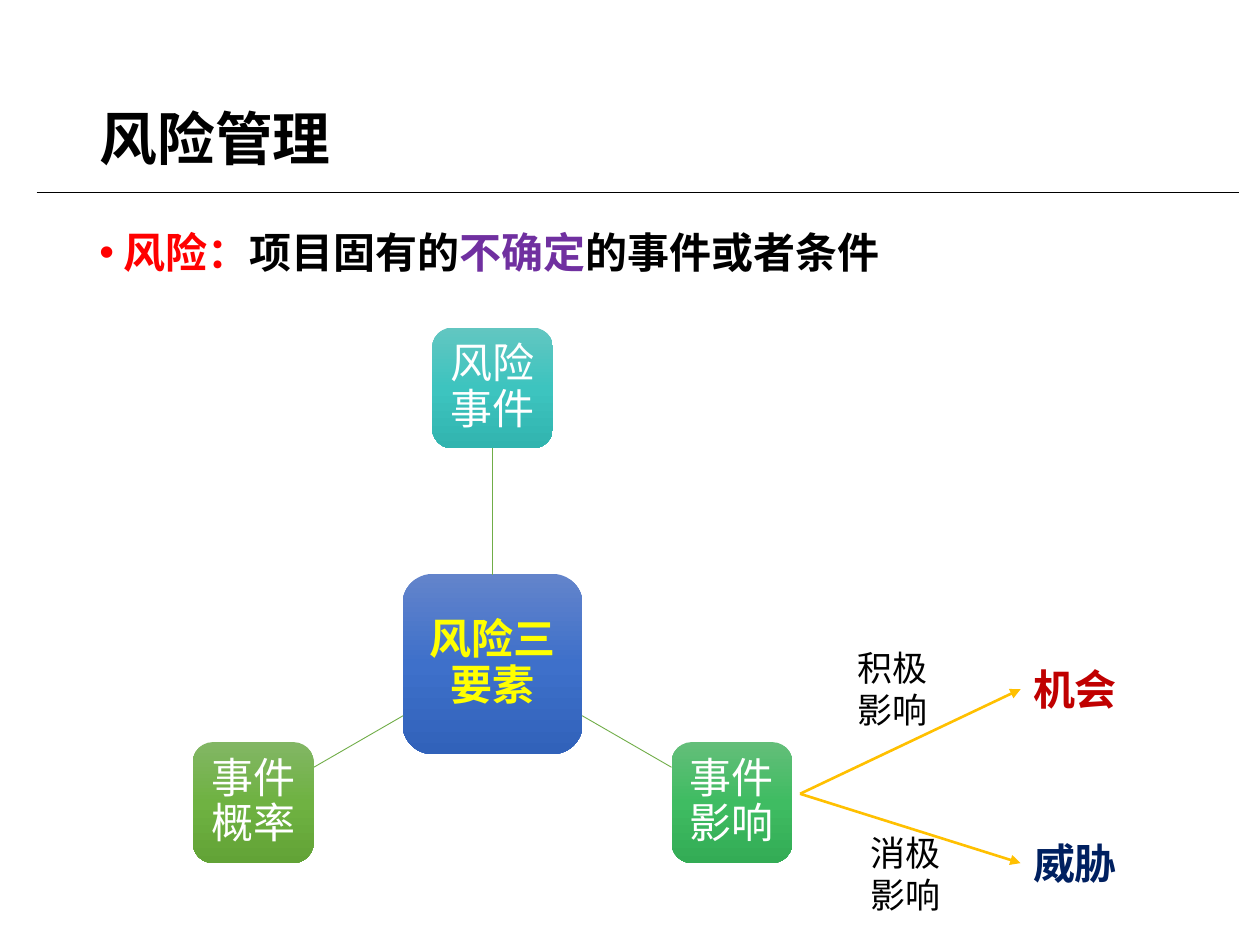
from copy import deepcopy

from lxml import etree
from pptx import Presentation
from pptx.dml.color import RGBColor
from pptx.enum.shapes import MSO_CONNECTOR, MSO_SHAPE
from pptx.enum.text import MSO_ANCHOR, PP_ALIGN
from pptx.oxml.ns import qn
from pptx.util import Inches, Pt

STRAIGHT = MSO_CONNECTOR.STRAIGHT
ROUND = MSO_SHAPE.ROUNDED_RECTANGLE
MIDDLE = MSO_ANCHOR.MIDDLE
CENTER = PP_ALIGN.CENTER
LEFT = PP_ALIGN.LEFT

BLACK, WHITE, YELLOW = "000000", "FFFFFF", "FFFF00"
GREEN, GOLD = "70AD47", "FFC000"


def color(code):
    return RGBColor.from_string(code)


def style(font, size, code, bold=False, name="Calibri"):
    font.name = name
    font.size = Pt(size)
    font.bold = bold
    font.color.rgb = color(code)


def add_title(slide, text):
    title = slide.shapes.title
    title.left, title.top = Inches(0.69), Inches(0.4)
    title.width, title.height = Inches(8.62), Inches(1.45)
    frame = title.text_frame
    frame.vertical_anchor = MIDDLE
    frame.text = text
    para = frame.paragraphs[0]
    para.alignment = LEFT
    para.line_spacing = 0.9
    style(para.font, 33, BLACK, True)


def add_bullet(slide, parts):
    """Add one bulleted line made of (text, colour) parts."""
    box = slide.shapes.add_textbox(
        Inches(0.69), Inches(1.79), Inches(7.02), Inches(4.76))
    box.text_frame.word_wrap = True
    para = box.text_frame.paragraphs[0]
    para.line_spacing = 0.9
    props = para._p.get_or_add_pPr()
    props.set("marL", str(Inches(0.19)))
    props.set("indent", str(-Inches(0.19)))
    etree.SubElement(props, qn("a:buFont")).set("typeface", "Arial")
    etree.SubElement(props, qn("a:buChar")).set("char", "•")
    for text, code in parts:
        run = para.add_run()
        run.text = text
        style(run.font, 24, code, True, "Arial")


def add_line(slide, start, end, code, width, arrow=False):
    points = [Inches(v) for v in (*start, *end)]
    line = slide.shapes.add_connector(STRAIGHT, *points)
    line.line.color.rgb = color(code)
    line.line.width = Pt(width)
    if arrow:
        tail = etree.SubElement(line.line._get_or_add_ln(), qn("a:tailEnd"))
        tail.set("type", "triangle")
    etree.SubElement(line._element.spPr, qn("a:effectLst"))


def shade(fill, codes):
    """Fill from top to bottom through three evenly spaced colours."""
    fill.gradient()
    fill.gradient_angle = 270
    last = fill.gradient_stops[1]._gs
    last.addprevious(deepcopy(last))
    for i, (stop, code) in enumerate(zip(fill.gradient_stops, codes)):
        stop.position = i / 2
        stop.color.rgb = color(code)


def add_node(slide, text, mid, size, codes, ink=WHITE, bold=False):
    """Add a rounded square centred on mid."""
    left, top = (Inches(v - size / 2) for v in mid)
    node = slide.shapes.add_shape(ROUND, left, top, Inches(size), Inches(size))
    node.shadow.inherit = False
    node.line.fill.background()
    shade(node.fill, codes)
    frame = node.text_frame
    frame.word_wrap = True
    frame.vertical_anchor = MIDDLE
    frame.margin_left = frame.margin_right = Inches(0.07)
    frame.margin_top = frame.margin_bottom = Inches(0.07)
    frame.text = text
    para = frame.paragraphs[0]
    para.alignment = CENTER
    para.line_spacing = 0.9
    style(para.font, 24, ink, bold)


def add_label(slide, text, spot, size, code=BLACK, bold=False, wrap=True):
    box = slide.shapes.add_textbox(*[Inches(v) for v in spot])
    frame = box.text_frame
    frame.word_wrap = wrap
    frame.text = text
    style(frame.paragraphs[0].font, size, code, bold)


def main():
    deck = Presentation()
    deck.slide_width, deck.slide_height = Inches(10), Inches(7.5)
    slide = deck.slides.add_slide(deck.slide_layouts[5])

    add_line(slide, (0.29, 1.53), (9.83, 1.53), BLACK, 0.5)
    add_title(slide, "风险管理")
    add_bullet(slide, [("风险：", "FF0000"), ("项目固有的", BLACK),
                       ("不确定", "7030A0"), ("的事件或者条件", BLACK)])

    hub = (3.91, 5.27)
    add_node(slide, "风险三要素", hub, 1.43,
             ("6384CB", "3E70CA", "3162BA"), YELLOW, True)
    # text, offset from the hub, spoke start and end offsets, shades
    nodes = [
        ("风险事件", (0, -2.19), (0, -0.71), (0, -1.72),
         ("62C6C1", "3DC4BF", "31B4AF")),
        ("事件影响", (1.9, 1.1), (0.71, 0.41), (1.42, 0.82),
         ("63BE79", "3FBC62", "33AC55")),
        ("事件概率", (-1.9, 1.1), (-0.71, 0.41), (-1.42, 0.82),
         ("82B664", "6FB242", "62A336")),
    ]
    for text, *shifts, codes in nodes:
        mid, start, end = [(hub[0] + x, hub[1] + y) for x, y in shifts]
        add_line(slide, start, end, GREEN, 0.5)
        add_node(slide, text, mid, 0.96, codes)

    # result, its top and colour, arrow end, effect and its corner
    results = [
        ("机会", 5.22, "C00000", 5.47, "积极影响", (6.71, 5.08)),
        ("威胁", 6.6, "002060", 6.85, "消极影响", (6.81, 6.55)),
    ]
    for text, top, code, end, effect, corner in results:
        add_label(slide, text, (8.1, top, 0.88, 0.5), 24, code, True, False)
        add_line(slide, (6.35, 6.3), (8.1, end), GOLD, 1.5, True)
        add_label(slide, effect, (*corner, 0.89, 0.77), 20)

    deck.save("out.pptx")


if __name__ == "__main__":
    main()
